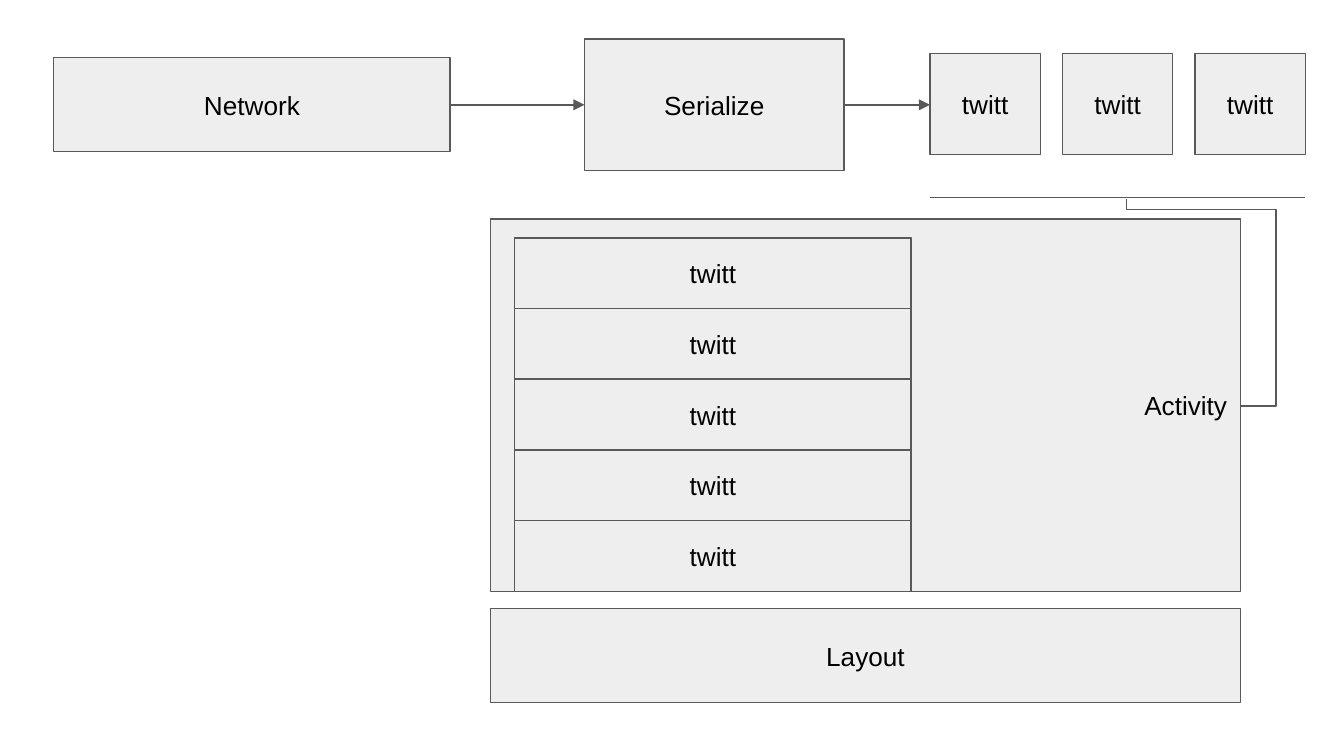
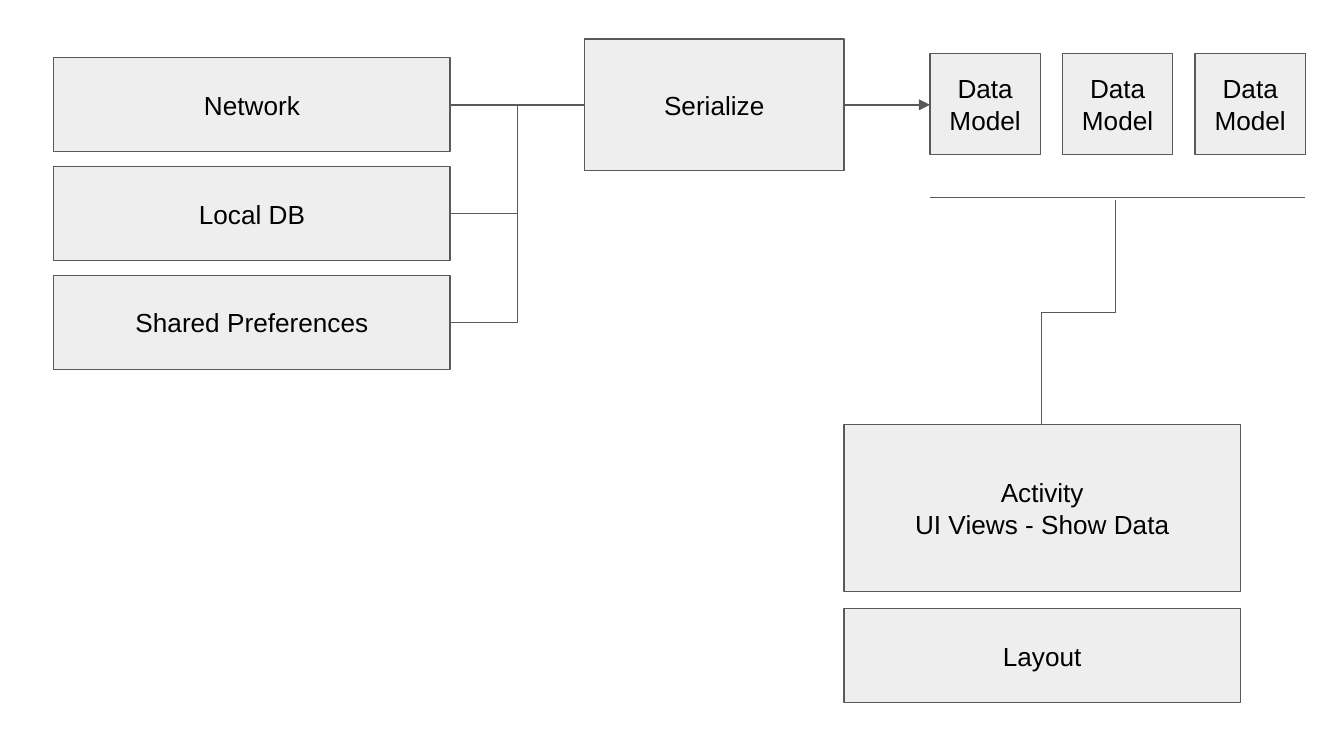
from lxml import etree
from pptx import Presentation
from pptx.dml.color import RGBColor
from pptx.enum.shapes import MSO_CONNECTOR, MSO_SHAPE
from pptx.enum.text import MSO_ANCHOR, PP_ALIGN
from pptx.oxml.ns import qn
from pptx.util import Inches, Pt

RECT = MSO_SHAPE.RECTANGLE
LINE = MSO_CONNECTOR.STRAIGHT
BEND = MSO_CONNECTOR.ELBOW
MID = MSO_ANCHOR.MIDDLE
CENTER = PP_ALIGN.CENTER
RIGHT = PP_ALIGN.RIGHT

COLS, ROWS = 100, 56.25
LEFT, WIDE, HIGH = 4, 29.5, 7
AXIS = 7.8


def hue(code):
    return RGBColor.from_string(code)


class Deck:
    fill, edge, ink = "EEEEEE", "595959", "000000"
    font, size, weight = "Arial", 14, 0.75

    def __init__(self):
        self.file = Presentation()
        self.file.slide_width = self.cell(COLS)
        self.file.slide_height = self.cell(ROWS)
        self.slide = None

    def cell(self, count):
        return Inches(count / 10)

    def page(self):
        self.slide = self.file.slides.add_slide(self.file.slide_layouts[6])

    def stroke(self, item):
        item.line.color.rgb = hue(self.edge)
        item.line.width = Pt(self.weight)

    def box(self, left, top, wide, high, *texts, align=CENTER):
        spot = [self.cell(v) for v in (left, top, wide, high)]
        item = self.slide.shapes.add_shape(RECT, *spot)
        item.shadow.inherit = False
        item.fill.solid()
        item.fill.fore_color.rgb = hue(self.fill)
        self.stroke(item)
        frame = item.text_frame
        frame.word_wrap = True
        frame.vertical_anchor = MID
        frame.margin_left = frame.margin_right = self.cell(1)
        frame.margin_top = frame.margin_bottom = self.cell(1)
        for index, text in enumerate(texts):
            para = frame.add_paragraph() if index else frame.paragraphs[0]
            para.alignment = align
            run = para.add_run()
            run.text = text
            run.font.name = self.font
            run.font.size = Pt(self.size)
            run.font.color.rgb = hue(self.ink)

    def link(self, start, end, kind=LINE, arrow=False):
        spots = [self.cell(v) for v in (*start, *end)]
        item = self.slide.shapes.add_connector(kind, *spots)
        self.stroke(item)
        props = item.element.spPr
        if arrow:
            etree.SubElement(props.find(qn("a:ln")), qn("a:tailEnd"), type="triangle")
        etree.SubElement(props, qn("a:effectLst"))
        return props

    def turn(self, start, end, angle, *bends):
        mid = [(a + b) / 2 for a, b in zip(start, end)]
        half = [abs(a - b) / 2 for a, b in zip(start, end)]
        if angle == 90:
            half.reverse()
        low = [m - h for m, h in zip(mid, half)]
        top = [m + h for m, h in zip(mid, half)]
        props = self.link(low, top, BEND)
        props.find(qn("a:xfrm")).set("rot", str(angle * 60000))
        geom = props.find(qn("a:prstGeom"))
        geom.set("prst", f"bentConnector{len(bends) + 2}")
        guides = geom.find(qn("a:avLst"))
        for index, share in enumerate(bends, 1):
            etree.SubElement(guides, qn("a:gd"), name=f"adj{index}",
                             fmla=f"val {round(share * 100000)}")

    def flow(self, name):
        self.box(LEFT, 4.3, WIDE, HIGH, "Network")
        self.box(43.5, 2.9, 19.3, 9.8, "Serialize")
        for index in range(3):
            self.box(69.2 + index * 9.86, 4, 8.2, 7.5, name)
        self.link((62.8, AXIS), (69.2, AXIS), arrow=True)
        self.link((69.2, 14.7), (97.1, 14.7))


def tweets(deck):
    deck.page()
    deck.box(36.5, 16.3, 55.8, 27.7, "Activity", align=RIGHT)
    deck.box(36.5, 45.3, 55.8, HIGH, "Layout")
    deck.flow("twitt")
    deck.link((33.5, AXIS), (43.5, AXIS), arrow=True)
    high = 26.3 / 5
    deck.box(38.3, 17.7, WIDE, high * 5)
    for index in range(5):
        deck.box(38.3, 17.7 + index * high, WIDE, high, "twitt")
    deck.turn((92.3, 30.2), (83.8, 14.8), 180, -0.31, 0.95)


def models(deck):
    deck.page()
    deck.box(62.8, 31.6, WIDE, 12.4, "Activity", "UI Views - Show Data")
    deck.box(62.8, 45.3, WIDE, HIGH, "Layout")
    deck.flow("Data Model")
    deck.turn((83, 14.9), (77.5, 31.6), 90, 0.5)
    for index, name in enumerate(("Local DB", "Shared Preferences"), 1):
        drop = index * 8.1
        deck.box(LEFT, 4.3 + drop, WIDE, HIGH, name)
        deck.link((33.5, AXIS + drop), (43.5, AXIS), BEND)
    deck.link((33.5, AXIS), (43.5, AXIS))


def main():
    deck = Deck()
    tweets(deck)
    models(deck)
    deck.file.save("out.pptx")


if __name__ == "__main__":
    main()
